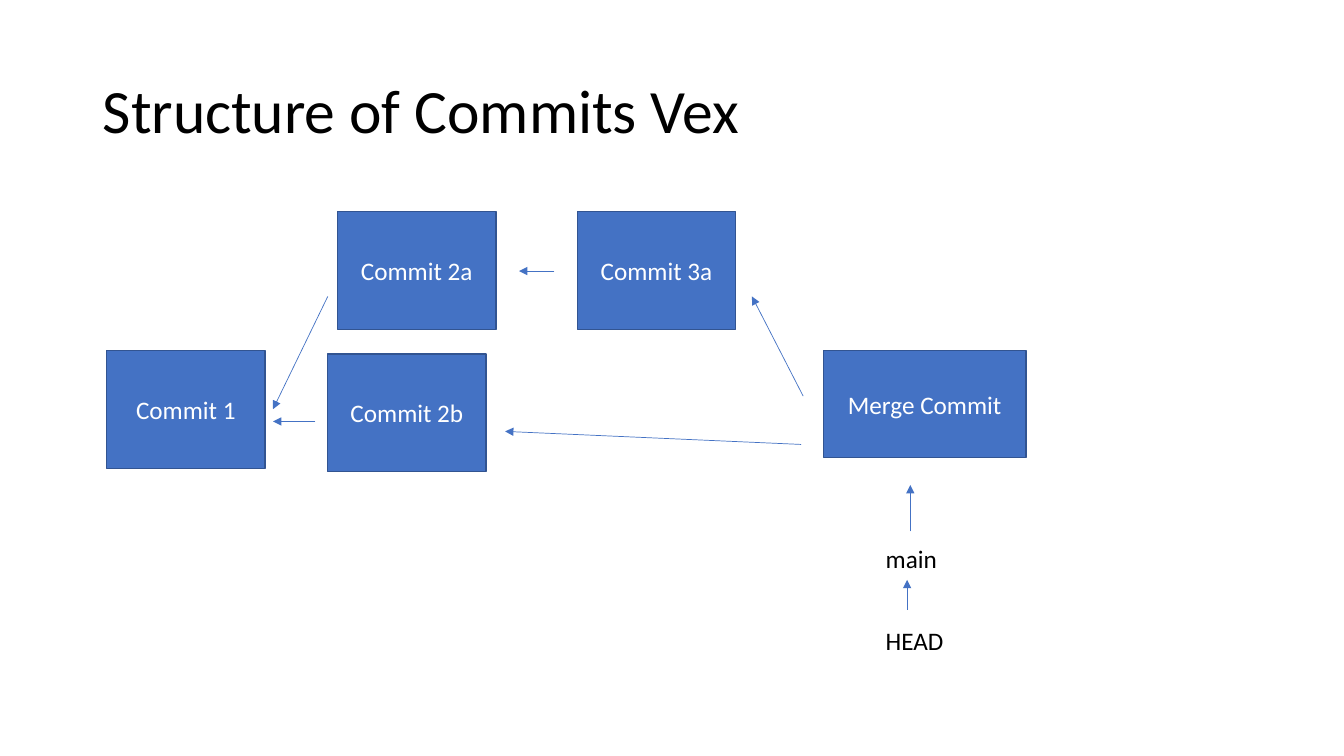
import collections
import dataclasses

import lxml.etree
import pptx
import pptx.dml.color
import pptx.enum.shapes
import pptx.enum.text
import pptx.oxml.ns
import pptx.util

Cm = pptx.util.Cm
Pt = pptx.util.Pt
Align = pptx.enum.text.PP_ALIGN
Anchor = pptx.enum.text.MSO_ANCHOR
Box = collections.namedtuple("Box", "left top width height")


@dataclasses.dataclass(frozen=True)
class Theme:
    """Colours, font and sizes of the slide."""

    font: str = "Calibri"
    ink: str = "000000"
    paper: str = "FFFFFF"
    commit: str = "4472C4"
    border: str = "325491"
    title_size: float = 44
    body_size: float = 18
    border_width: float = 1
    arrow_width: float = 0.5


THEME = Theme()
COMMIT_SIZE = (3.99, 2.97)
COMMITS = [
    ("Commit 1", 0, 3.51, *COMMIT_SIZE),
    ("Commit 2a", 5.82, 0, *COMMIT_SIZE),
    ("Commit 3a", 11.86, 0, *COMMIT_SIZE),
    ("Commit 2b", 5.57, 3.59, *COMMIT_SIZE),
    ("Merge Commit", 18.06, 3.51, 5.11, 2.69),
]
PARENT_ARROWS = [
    (5.57, 2.14, 4.19, 4.98),
    (11.28, 1.5, 10.39, 1.5),
    (5.26, 5.29, 4.19, 5.29),
    (17.55, 4.65, 16.26, 2.14),
    (17.5, 5.87, 10.04, 5.54),
]
REFS = [("main", 0, 1.34, 2.41, 1.02), ("HEAD", 0, 3.4, 3.51, 1.02)]
REF_ARROWS = [(0.87, 1.17, 0.87, 0), (0.79, 3.15, 0.79, 2.39)]


def rgb(code):
    """Turn a hex code into a colour."""
    return pptx.dml.color.RGBColor.from_string(code)


def place(box, left, top, width, height):
    """Return slide lengths for a part placed relative to a box."""
    return Cm(box.left + left), Cm(box.top + top), Cm(width), Cm(height)


def write(shape, text, size, colour, align=Align.LEFT, anchor=Anchor.TOP):
    """Write one line of text in a shape."""
    frame = shape.text_frame
    frame.word_wrap = True
    frame.vertical_anchor = anchor
    para = frame.paragraphs[0]
    para.alignment = align
    span = para.add_run()
    span.text = text
    span.font.name = THEME.font
    span.font.size = Pt(size)
    span.font.color.rgb = rgb(colour)
    return para


def add_arrow(page, box, start_x, start_y, end_x, end_y):
    """Draw an arrow between two points of a box."""
    arrow = page.shapes.add_connector(
        pptx.enum.shapes.MSO_CONNECTOR.STRAIGHT,
        Cm(box.left + start_x), Cm(box.top + start_y),
        Cm(box.left + end_x), Cm(box.top + end_y),
    )
    arrow.line.color.rgb = rgb(THEME.commit)
    arrow.line.width = Pt(THEME.arrow_width)
    qn = pptx.oxml.ns.qn
    line = arrow.line._get_or_add_ln()
    lxml.etree.SubElement(line, qn("a:tailEnd"), type="triangle")
    lxml.etree.SubElement(arrow._element.spPr, qn("a:effectLst"))


def add_title(page, box, text):
    """Fill a box with the slide title."""
    title = page.shapes.add_textbox(*place(box, 0, 0, box.width, box.height))
    para = write(title, text, THEME.title_size, THEME.ink, anchor=Anchor.MIDDLE)
    para.line_spacing = 0.9


def add_history(page, box):
    """Draw the commits and the arrows to their parents."""
    for name, *spot in COMMITS:
        commit = page.shapes.add_shape(
            pptx.enum.shapes.MSO_SHAPE.RECTANGLE, *place(box, *spot)
        )
        commit.shadow.inherit = False
        commit.fill.solid()
        commit.fill.fore_color.rgb = rgb(THEME.commit)
        commit.line.color.rgb = rgb(THEME.border)
        commit.line.width = Pt(THEME.border_width)
        write(commit, name, THEME.body_size, THEME.paper, Align.CENTER, Anchor.MIDDLE)
    for ends in PARENT_ARROWS:
        add_arrow(page, box, *ends)


def add_refs(page, box):
    """Draw the branch and HEAD labels with their arrows."""
    for name, *spot in REFS:
        label = page.shapes.add_textbox(*place(box, *spot))
        write(label, name, THEME.body_size, THEME.ink)
        label.text_frame.auto_size = pptx.enum.text.MSO_AUTO_SIZE.SHAPE_TO_FIT_TEXT
    for ends in REF_ARROWS:
        add_arrow(page, box, *ends)


def main():
    """Build and save the deck."""
    deck = pptx.Presentation()
    deck.slide_width, deck.slide_height = Cm(33.87), Cm(19.05)
    page = deck.slides.add_slide(deck.slide_layouts[6])
    page.background.fill.solid()
    page.background.fill.fore_color.rgb = rgb(THEME.paper)
    add_title(page, Box(2.34, 1.02, 29.21, 3.68), "Structure of Commits Vex")
    add_history(page, Box(2.69, 5.33, 23.17, 6.56))
    add_refs(page, Box(22.07, 12.22, 3.51, 4.42))
    deck.save("out.pptx")


main()
